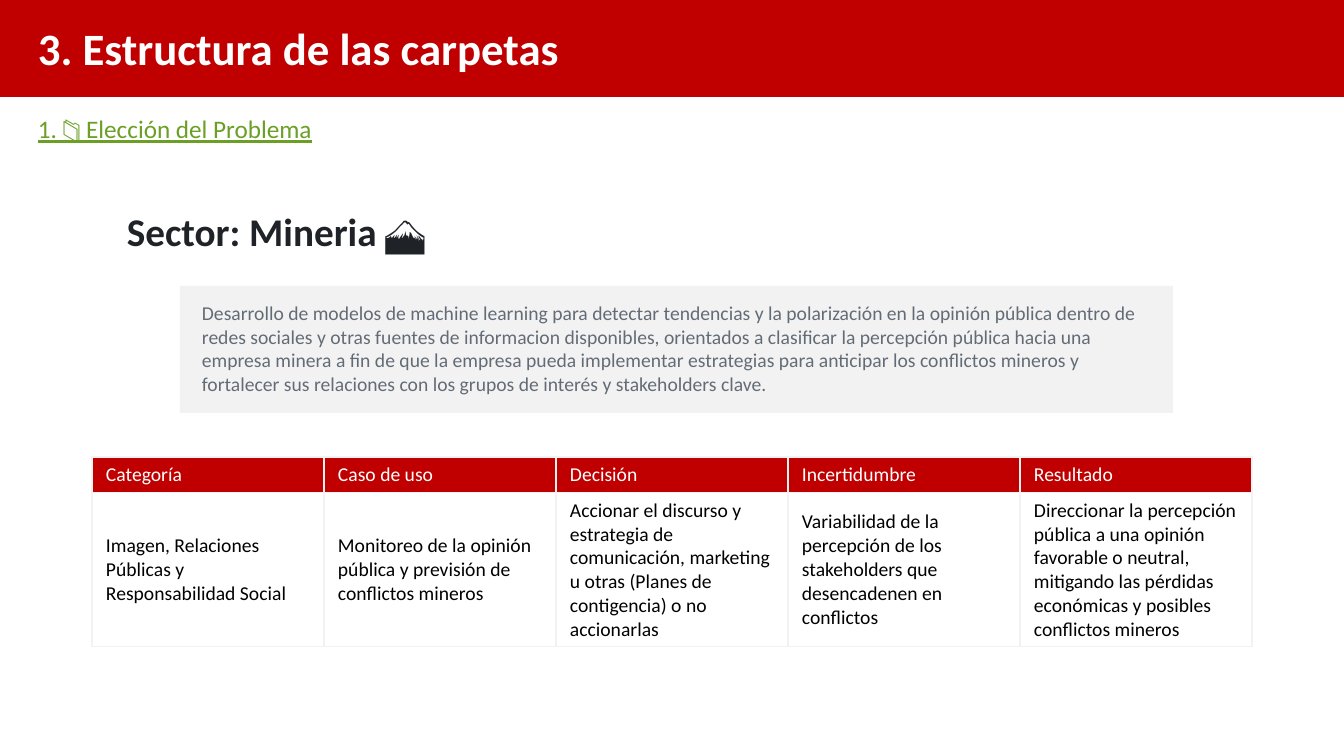
from lxml.etree import SubElement
from pptx import Presentation
from pptx.dml.color import RGBColor
from pptx.enum.shapes import MSO_SHAPE
from pptx.enum.text import MSO_ANCHOR, MSO_AUTO_SIZE
from pptx.oxml.ns import qn
from pptx.util import Emu, Pt

PX_PER_INCH = 100.8
FONT = "Calibri"
COLORS = {
    "red": "C00000",
    "green": "6B9F25",
    "ink": "1F2328",
    "slate": "636C76",
    "panel": "F2F2F2",
    "white": "FFFFFF",
    "black": "000000",
}
SUMMARY = (
    "Desarrollo de modelos de machine learning para detectar tendencias y la "
    "polarización en la opinión pública dentro de redes sociales y otras fuentes "
    "de informacion disponibles, orientados a clasificar la percepción pública "
    "hacia una empresa minera a fin de que la empresa pueda implementar "
    "estrategias para anticipar los conflictos mineros y fortalecer sus "
    "relaciones con los grupos de interés y stakeholders clave."
)
USE_CASE = {
    "Categoría": "Imagen, Relaciones Públicas y Responsabilidad Social",
    "Caso de uso": "Monitoreo de la opinión pública y previsión de conflictos mineros",
    "Decisión": "Accionar el discurso y estrategia de comunicación, marketing u otras "
                "(Planes de contigencia) o no accionarlas",
    "Incertidumbre": "Variabilidad de la percepción de los stakeholders que "
                     "desencadenen en conflictos",
    "Resultado": "Direccionar la percepción pública a una opinión favorable o neutral, "
                 "mitigando las pérdidas económicas y posibles conflictos mineros",
}


def px(n):
    return Emu(round(n * 914400 / PX_PER_INCH))


def rgb(name):
    return RGBColor.from_string(COLORS[name])


class SlideBuilder:
    def __init__(self, slide):
        self.s = slide

    def style(self, tf, size, color, bold=False, underline=False):
        for p in tf.paragraphs:
            for r in p.runs:
                r.font.name = FONT
                r.font.size = Pt(size)
                r.font.bold = bold
                r.font.underline = underline
                r.font.color.rgb = rgb(color)

    def rect(self, x, y, w, h, color):
        sp = self.s.shapes.add_shape(MSO_SHAPE.RECTANGLE, px(x), px(y), px(w), px(h))
        sp.shadow.inherit = False
        sp.fill.solid()
        sp.fill.fore_color.rgb = rgb(color)
        sp.line.fill.background()

    def text(self, x, y, w, h, text, size, color, grow=True, **font):
        tf = self.s.shapes.add_textbox(px(x), px(y), px(w), px(h)).text_frame
        tf.word_wrap = True
        tf.auto_size = MSO_AUTO_SIZE.SHAPE_TO_FIT_TEXT if grow else MSO_AUTO_SIZE.NONE
        tf.text = text
        self.style(tf, size, color, **font)
        return tf

    def borders(self, cell, color):
        tc_pr = cell._tc.get_or_add_tcPr()
        for side in ("lnL", "lnR", "lnT", "lnB"):
            ln = SubElement(tc_pr, qn(f"a:{side}"), w=str(Pt(1)))
            fill = SubElement(ln, qn("a:solidFill"))
            SubElement(fill, qn("a:srgbClr"), val=COLORS[color])

    def cell(self, cell, text, color, fill):
        self.borders(cell, "panel")
        cell.fill.solid()
        cell.fill.fore_color.rgb = rgb(fill)
        cell.vertical_anchor = MSO_ANCHOR.MIDDLE
        cell.margin_left = cell.margin_right = px(14)
        cell.margin_top = cell.margin_bottom = px(6)
        cell.text_frame.text = text
        self.style(cell.text_frame, 14, color)

    def table(self, x, y, col_width, row_heights, columns):
        table = self.s.shapes.add_table(
            len(row_heights), len(columns), px(x), px(y),
            px(col_width * len(columns)), px(sum(row_heights))).table
        for row, height in zip(table.rows, row_heights):
            row.height = px(height)
        for i, (heading, body) in enumerate(columns.items()):
            table.columns[i].width = px(col_width)
            self.cell(table.cell(0, i), heading, "white", "red")
            self.cell(table.cell(1, i), body, "black", "white")


def main():
    prs = Presentation()
    prs.slide_width, prs.slide_height = px(1344), px(756)
    b = SlideBuilder(prs.slides.add_slide(prs.slide_layouts[6]))

    b.rect(180, 286, 993, 127, "panel")
    tf = b.text(28, 112, 502, 48, "1. 📁 Elección del Problema", 18, "green",
                grow=False, underline=True)
    tf.paragraphs[0].line_spacing = 0.9
    tf.paragraphs[0].space_before = Pt(10)

    b.rect(0, 0, 1344, 97, "red")
    b.text(28, 16, 769, 65, "3. Estructura de las carpetas", 32, "white", bold=True)
    b.text(117, 202, 672, 57, "Sector: Mineria 🗻", 28, "ink", bold=True)
    b.text(192, 296, 964, 105, SUMMARY, 14, "slate")
    b.table(92, 457, 232, (35, 154), USE_CASE)

    prs.save("out.pptx")


if __name__ == "__main__":
    main()
